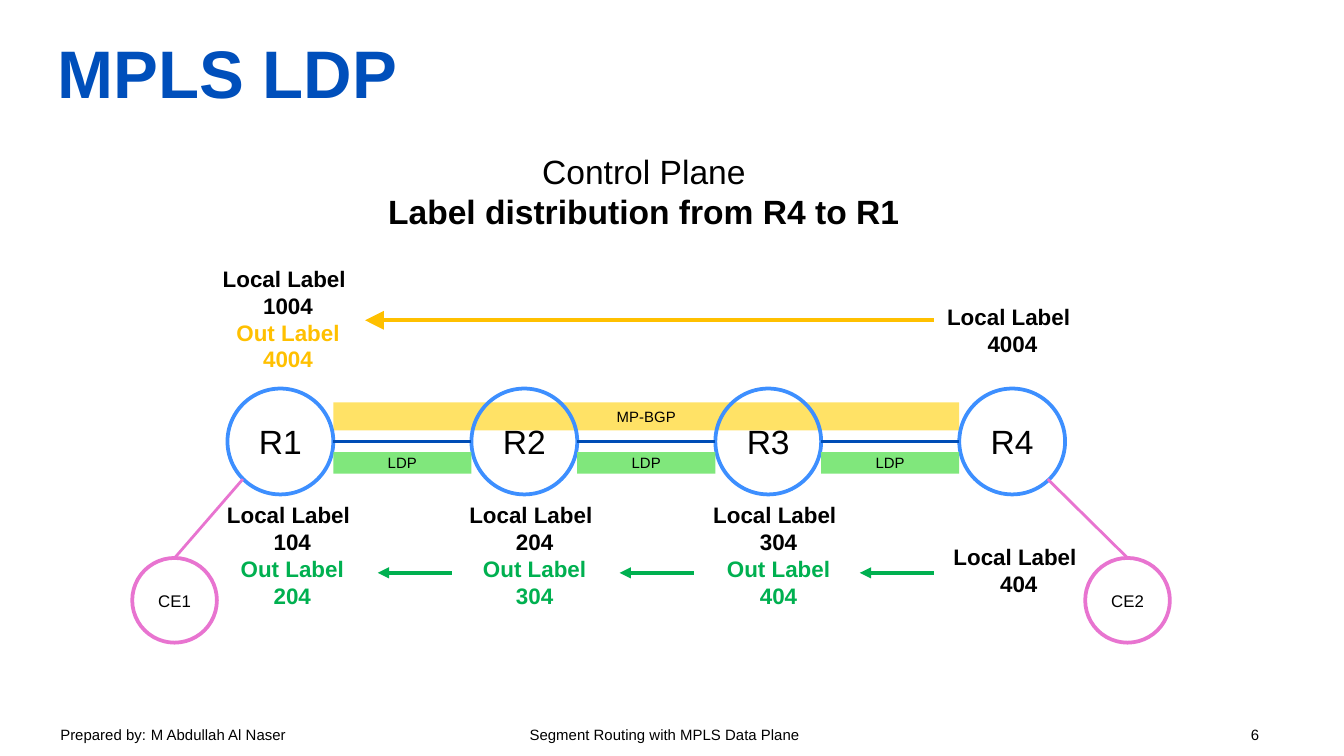
from typing import NamedTuple

from lxml import etree
from pptx import Presentation
from pptx import util as u
from pptx.dml.color import RGBColor
from pptx.enum import shapes, text
from pptx.oxml import ns

COLOURS = {
    "black": "000000",
    "white": "FFFFFF",
    "title": "004FBB",
    "router": "3D8FFF",
    "core": "004DB6",
    "customer": "E874D0",
    "bgp": "FFE266",
    "ldp": "80E77C",
    "green": "00B050",
    "amber": "FFC000",
}
FONT = "Arial"
LEFT = text.PP_ALIGN.LEFT
CENTER = text.PP_ALIGN.CENTER


class Frame(NamedTuple):
    left: float
    top: float
    width: float
    height: float

    def lengths(self) -> list:
        return [u.Cm(value) for value in self]


class Span(NamedTuple):
    words: str
    size: float
    colour: str = "black"
    bold: bool = False


class Node(NamedTuple):
    name: str
    frame: Frame
    size: float
    line: str
    fill: str | None = None


class Band(NamedTuple):
    name: str
    frame: Frame
    fill: str


class Link(NamedTuple):
    start: tuple[float, float]
    end: tuple[float, float]
    colour: str
    width: float
    head: str | None = None


class LabelSet(NamedTuple):
    left: float
    top: float
    local: str
    out: str | None = None
    out_colour: str = "green"


def rgb(name: str) -> RGBColor:
    return RGBColor.from_string(COLOURS[name])


def add_spans(para, spans: list[Span], align=LEFT) -> None:
    para.alignment = align
    for item in spans:
        span = para.add_run()
        span.text = item.words
        span.font.name = FONT
        span.font.size = u.Pt(item.size)
        span.font.bold = item.bold
        span.font.color.rgb = rgb(item.colour)


def draw_text(page, frame: Frame, lines: list[tuple], wrap: bool = True):
    box = page.shapes.add_textbox(*frame.lengths())
    box.text_frame.word_wrap = wrap
    for index, (spans, align) in enumerate(lines):
        para = box.text_frame.add_paragraph() if index else box.text_frame.paragraphs[0]
        add_spans(para, spans, align)
    return box


def clear_margins(frame) -> None:
    frame.margin_left = frame.margin_right = 0
    frame.margin_top = frame.margin_bottom = 0
    frame.vertical_anchor = text.MSO_ANCHOR.MIDDLE


def draw_shape(page, preset, frame: Frame, label: Span, fill: str | None, line: str | None) -> None:
    shape = page.shapes.add_shape(preset, *frame.lengths())
    shape.shadow.inherit = False
    if fill:
        shape.fill.solid()
        shape.fill.fore_color.rgb = rgb(fill)
    else:
        shape.fill.background()
    if line:
        shape.line.color.rgb = rgb(line)
        shape.line.width = u.Pt(2)
    else:
        shape.line.fill.background()
    clear_margins(shape.text_frame)
    add_spans(shape.text_frame.paragraphs[0], [label], CENTER)


def draw_node(page, node: Node) -> None:
    draw_shape(page, shapes.MSO_SHAPE.OVAL, node.frame, Span(node.name, node.size), node.fill, node.line)


def draw_band(page, band: Band) -> None:
    draw_shape(page, shapes.MSO_SHAPE.RECTANGLE, band.frame, Span(band.name, 8), band.fill, None)


def draw_link(page, link: Link) -> None:
    ends = [u.Cm(value) for value in (*link.start, *link.end)]
    line = page.shapes.add_connector(shapes.MSO_CONNECTOR.STRAIGHT, *ends)
    line.line.color.rgb = rgb(link.colour)
    line.line.width = u.Pt(link.width)
    if link.head:
        etree.SubElement(line.line._get_or_add_ln(), ns.qn("a:tailEnd"),
                         type="triangle", w=link.head, len=link.head)
    etree.SubElement(line._element.spPr, ns.qn("a:effectLst"))


def draw_labels(page, labels: LabelSet) -> None:
    rows = [("Local Label", "black", LEFT), (labels.local, "black", CENTER)]
    if labels.out:
        rows += [("Out Label", labels.out_colour, CENTER), (labels.out, labels.out_colour, CENTER)]
    lines = [([Span(words, 12, colour, True)], align) for words, colour, align in rows]
    draw_text(page, Frame(labels.left, labels.top, 2.97, 0.25 + 0.51 * len(rows)), lines)


def draw_footer(page) -> None:
    spans = [
        Span("Prepared by:", 8),
        Span(" ", 9),
        Span("M Abdullah Al Naser\tSegment Routing with MPLS Data Plane\t6", 8),
    ]
    box = draw_text(page, Frame(0.89, 13.54, 23.67, 0.64), [(spans, LEFT)])
    properties = box.text_frame.paragraphs[0]._p.get_or_add_pPr()
    stops = etree.SubElement(properties, ns.qn("a:tabLst"))
    for position in (8.87, 22.5):
        etree.SubElement(stops, ns.qn("a:tab"), pos=str(u.Cm(position)), algn="l")


def main() -> None:
    deck = Presentation()
    deck.slide_width, deck.slide_height = u.Cm(25.4), u.Cm(14.28)
    page = deck.slides.add_slide(deck.slide_layouts[6])

    first, pitch, diameter = 4.3, 4.61, 2.0
    router_lefts = [first + pitch * index for index in range(4)]
    gap = pitch - diameter
    middle = 8.34

    draw_footer(page)
    draw_band(page, Band("MP-BGP", Frame(first + diameter, 7.6, 3 * pitch - diameter, 0.53), "bgp"))
    title = draw_text(page, Frame(1.09, 0.15, 23.19, 2.39), [([Span("MPLS LDP", 36, "title", True)], LEFT)])
    clear_margins(title.text_frame)

    for number, left in enumerate(router_lefts, 1):
        draw_node(page, Node(f"R{number}", Frame(left, middle - diameter / 2, diameter, diameter), 18, "router"))
    for number, left in enumerate((2.5, 20.51), 1):
        draw_node(page, Node(f"CE{number}", Frame(left, 10.54, 1.6, 1.6), 9, "customer", "white"))

    for left in router_lefts[:3]:
        edge = left + diameter
        draw_link(page, Link((edge, middle), (edge + gap, middle), "core", 1.5))
        draw_band(page, Band("LDP", Frame(edge, 8.54, gap, 0.41), "ldp"))
    draw_link(page, Link((3.3, 10.54), (4.59, 9.05), "customer", 1.5))
    draw_link(page, Link((21.31, 10.54), (19.8, 9.05), "customer", 1.5))

    heading = [
        ([Span("Control Plane", 18)], CENTER),
        ([Span("Label distribution from R4 to R1", 18, bold=True)], CENTER),
    ]
    draw_text(page, Frame(7.04, 2.72, 10.26, 1.8), heading, wrap=False)

    for labels in (
        LabelSet(3.96, 4.88, "1004", "4004", "amber"),
        LabelSet(17.65, 5.61, "4004"),
        LabelSet(4.04, 9.35, "104", "204"),
        LabelSet(8.62, 9.35, "204", "304"),
        LabelSet(13.23, 9.35, "304", "404"),
        LabelSet(17.77, 10.14, "404"),
    ):
        draw_labels(page, labels)

    for tip in (7.14, 11.71, 16.25):
        draw_link(page, Link((tip + 1.4, 10.82), (tip, 10.82), "green", 2, "med"))
    draw_link(page, Link((17.65, 6.05), (6.9, 6.05), "amber", 2, "lg"))

    deck.save("out.pptx")


if __name__ == "__main__":
    main()
